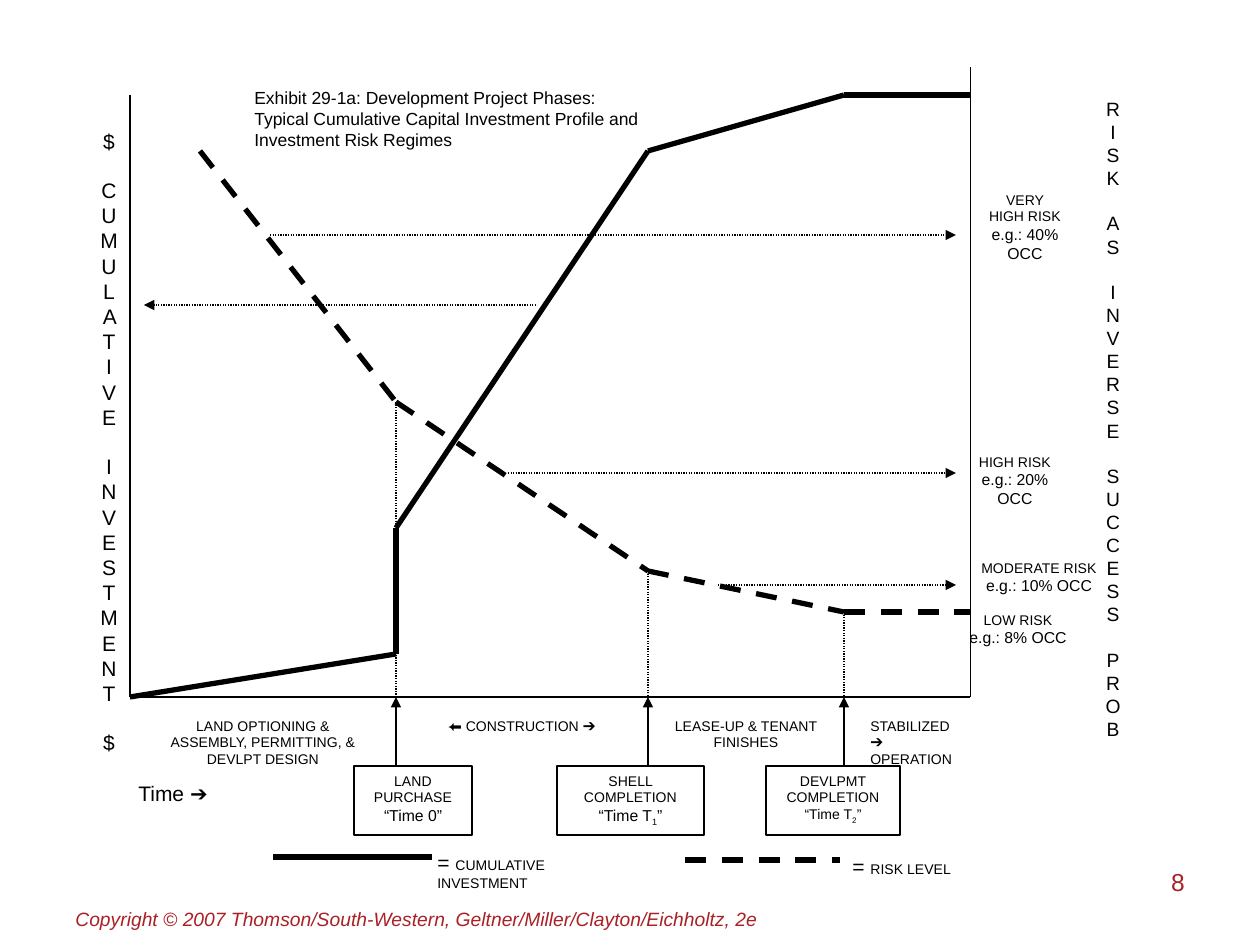
from itertools import pairwise

from lxml import etree
from pptx import Presentation
from pptx.dml.color import RGBColor
from pptx.enum.dml import MSO_LINE
from pptx.enum.shapes import MSO_CONNECTOR, MSO_SHAPE
from pptx.enum.text import MSO_ANCHOR, PP_ALIGN
from pptx.oxml.ns import qn
from pptx.util import Emu, Pt

STRAIGHT = MSO_CONNECTOR.STRAIGHT
RECTANGLE = MSO_SHAPE.RECTANGLE
DASH, DOT = MSO_LINE.DASH, MSO_LINE.ROUND_DOT
LEFT, CENTER, RIGHT = PP_ALIGN.LEFT, PP_ALIGN.CENTER, PP_ALIGN.RIGHT
TOP = MSO_ANCHOR.TOP

PX_PER_INCH = 126
BLACK, WHITE, RED = "000000", "FFFFFF", "A92026"
FONT = "Arial"
PLOT = (130, 95, 840, 602)
# Milestone positions along the time axis, from the left of the plot
PURCHASE, SHELL, DEVELOPED = 266, 518, 714


def px(value):
    return Emu(round(value * 914400 / PX_PER_INCH))


def color(value):
    return RGBColor.from_string(value)


def write(shape, paragraphs, align=LEFT, ink=BLACK, gap=0):
    """Fill a shape with paragraphs, each given as (size, run, run, ...)."""
    frame = shape.text_frame
    frame.word_wrap = True
    frame.vertical_anchor = TOP
    for index, (size, *runs) in enumerate(paragraphs):
        paragraph = frame.add_paragraph() if index else frame.paragraphs[0]
        paragraph.alignment = align
        if index and gap:
            paragraph.space_before = Pt(gap)
        paragraph.font.name = FONT
        paragraph.font.size = Pt(size)
        paragraph.font.color.rgb = color(ink)
        for text in runs:
            paragraph.add_run().text = text
    return frame


def add_text(slide, box, paragraphs, **style):
    return write(slide.shapes.add_textbox(*map(px, box)), paragraphs, **style)


def add_box(slide, box, paragraphs, outlined=False):
    shape = slide.shapes.add_shape(RECTANGLE, *map(px, box))
    shape.shadow.inherit = False
    shape.fill.solid()
    shape.fill.fore_color.rgb = color(WHITE)
    if outlined:
        shape.line.color.rgb = color(BLACK)
        shape.line.width = Pt(0.75)
    else:
        shape.line.fill.background()
    return write(shape, paragraphs, align=CENTER)


def add_line(slide, start, end, width=0.75, dash=None, arrow=False):
    connector = slide.shapes.add_connector(STRAIGHT, *map(px, (*start, *end)))
    connector.line.color.rgb = color(BLACK)
    connector.line.width = Pt(width)
    if dash:
        connector.line.dash_style = dash
    if arrow:
        etree.SubElement(connector.line._get_or_add_ln(), qn("a:tailEnd"), type="triangle")
    etree.SubElement(connector._element.spPr, qn("a:effectLst"))


def add_plot(slide, box):
    """Axes, the two curves, and the dotted guides, relative to the plot box."""
    left, top, width, height = box

    def line(start, end, **style):
        add_line(slide, (left + start[0], top + start[1]),
                 (left + end[0], top + end[1]), **style)

    line((0, 0), (0, height))
    line((0, height), (width, height))
    line((width, height), (width, -28), width=0.5)

    investment = [(0, height), (PURCHASE, 559), (PURCHASE, 433),
                  (SHELL, 56), (DEVELOPED, 0), (width, 0)]
    risk = [(70, 56), (PURCHASE, 307), (SHELL, 476), (DEVELOPED, 517), (width, 517)]
    for curve, dash in ((investment, None), (risk, DASH)):
        for start, end in pairwise(curve):
            line(start, end, width=3, dash=dash)

    for x, y in risk[1:4]:
        line((x, y), (x, height), dash=DOT)
    for start, end, y in ((406, 14, 210), (140, 826, 140), (378, 826, 378), (588, 826, 490)):
        line((start, y), (end, y), dash=DOT, arrow=True)


def add_phases(slide, left, top):
    """Names of the phases in a row under the time axis."""
    phases = [
        (14, 238, 42, "LAND OPTIONING & ASSEMBLY, PERMITTING, & DEVLPT DESIGN"),
        (280, 224, 28, "⬅ CONSTRUCTION ➔"),
        (532, 168, 42, "LEASE-UP & TENANT FINISHES"),
    ]
    for x, width, height, name in phases:
        add_box(slide, (left + x, top, width, height), [(8, name)])
    add_text(slide, (left + 728, top, 112, 42), [(8, "STABILIZED ➔"), (8, "OPERATION")])


def add_milestones(slide, left, axis):
    """Boxed events, each with an arrow up to its moment on the time axis."""
    drop = 69
    milestones = [
        (PURCHASE, 224, 118, [(8, "LAND"), (8, "PURCHASE"), (9, "“Time 0”")]),
        (SHELL, 427, 147, [(8, "SHELL COMPLETION"), (9, "“Time T", "1", "”")]),
        (DEVELOPED, 636, 134, [(8, "DEVLPMT COMPLETION"), (8, "“Time T", "2", "”")]),
    ]
    for moment, x, width, paragraphs in milestones:
        frame = add_box(slide, (left + x, axis + drop, width, 69), paragraphs, outlined=True)
        runs = frame.paragraphs[-1].runs
        if len(runs) > 1:
            runs[1]._r.get_or_add_rPr().set("baseline", "-25000")
        add_line(slide, (left + moment, axis + drop), (left + moment, axis), arrow=True)


def add_axis_title(slide, box, words, size):
    """Stack letters in a box one letter wide, with an empty line's gap between words."""
    add_text(slide, box, [(size, word) for word in words], align=CENTER, gap=size * 1.15)


def add_risk_levels(slide, left, top):
    levels = [
        (6, 90, 98, 78, "VERY HIGH RISK", "e.g.: 40% OCC"),
        (-4, 352, 98, 55, "HIGH RISK", "e.g.: 20% OCC"),
        (-15, 458, 168, 63, "MODERATE RISK", "e.g.: 10% OCC"),
        (-15, 510, 126, 42, "LOW RISK", "e.g.: 8% OCC"),
    ]
    for x, y, width, height, name, example in levels:
        add_text(slide, (left + x, top + y, width, height),
                 [(8, name), (9, example)], align=CENTER)


def add_legend_entry(slide, line_box, text_box, label, dash=None):
    x, y, width = line_box
    add_line(slide, (x, y), (x + width, y), width=3, dash=dash)
    frame = add_text(slide, text_box, [(8, "= ", label)])
    frame.paragraphs[0].runs[0].font.size = Pt(12)


def add_footer(slide):
    frame = add_text(
        slide, (63, 901, 832, 44),
        [(11, "Copyright © 2007 Thomson/South-Western, Geltner/Miller/Clayton/Eichholtz, 2e")],
        ink=RED)
    frame.paragraphs[0].font.italic = True
    add_text(slide, (903, 861, 294, 66), [(14, "8")], align=RIGHT, ink=RED)


def main():
    presentation = Presentation()
    presentation.slide_width, presentation.slide_height = px(1260), px(945)
    slide = presentation.slides.add_slide(presentation.slide_layouts[6])

    left, top, width, height = PLOT
    right, axis = left + width, top + height
    add_plot(slide, PLOT)
    add_phases(slide, left, axis + 14)
    add_milestones(slide, left, axis)
    add_axis_title(slide, (88, 122, 42, 559), ["$", "CUMULATIVE", "INVESTMENT", "$"], 12)
    add_axis_title(slide, (1092, 91, 42, 602),
                   ["RISK", "AS", "INVERSE", "SUCCESS", "PROB"], 11)
    add_risk_levels(slide, right, top)
    add_text(slide, (126, 774, 126, 28), [(12, "Time ➔")])
    add_text(slide, (242, 81, 420, 84), [
        (10, "Exhibit 29-1a: Development Project Phases:"),
        (10, "Typical Cumulative Capital Investment Profile and Investment Risk Regimes"),
    ])
    add_legend_entry(slide, (273, 857, 159), (425, 843, 218, 45), "CUMULATIVE INVESTMENT")
    add_legend_entry(slide, (685, 860, 155), (840, 847, 209, 42), "RISK LEVEL", DASH)
    add_footer(slide)
    presentation.save("out.pptx")


if __name__ == "__main__":
    main()
